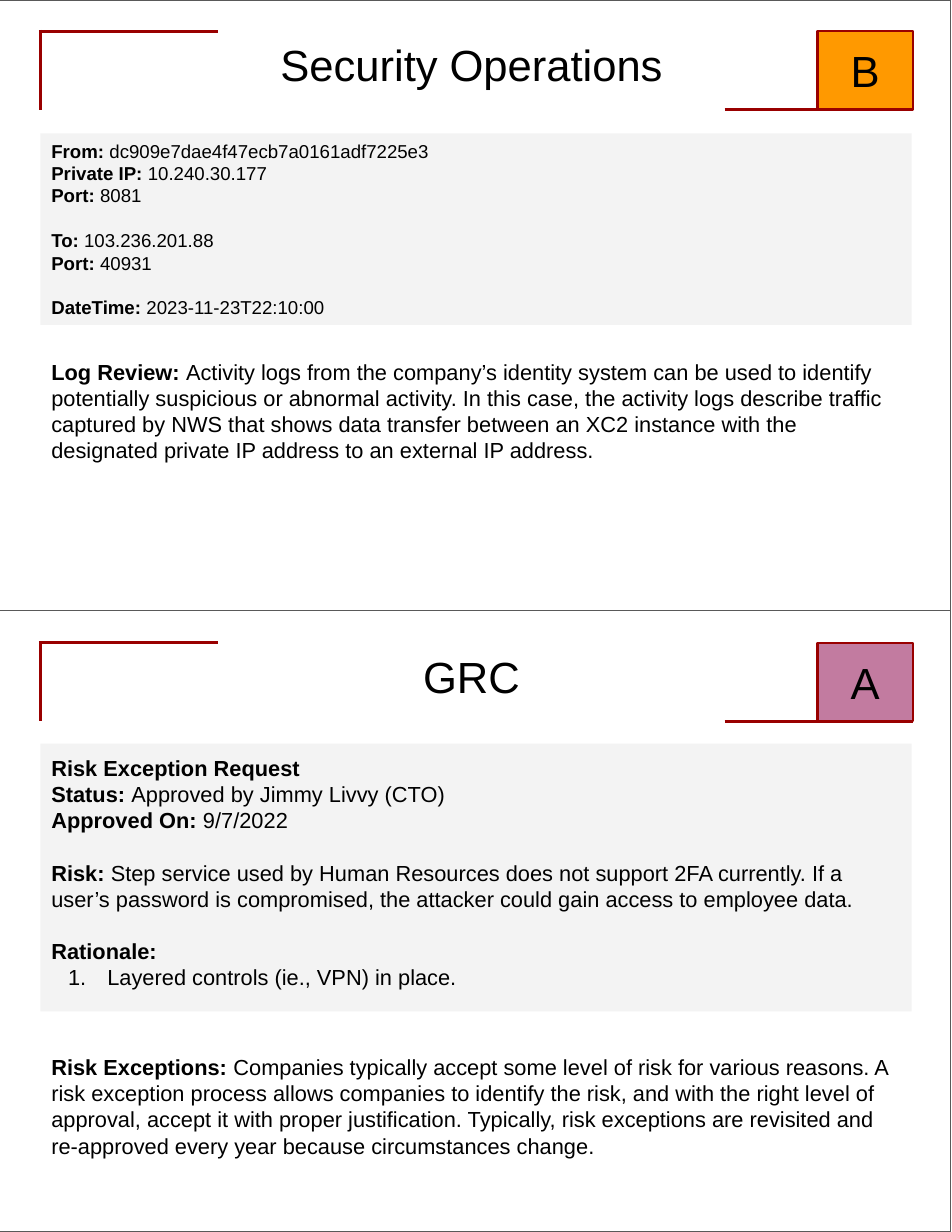
from dataclasses import dataclass

from lxml.etree import SubElement
from pptx import Presentation
from pptx.dml.color import RGBColor
from pptx.enum.shapes import MSO_SHAPE
from pptx.enum.text import MSO_ANCHOR, PP_ALIGN
from pptx.oxml.ns import qn
from pptx.util import Inches, Pt


@dataclass(frozen=True)
class Theme:
    font: str = "Arial"
    ink: str = "000000"
    paper: str = "FFFFFF"
    panel: str = "F3F3F3"
    frame: str = "595959"
    accent: str = "990000"
    orange: str = "FF9900"
    mauve: str = "C27BA0"
    title: int = 28
    body: int = 14
    detail: int = 12
    leading: float = 1.2
    left: float = 0.36
    width: float = 7.78
    inset: float = 0.1


def write(para, theme, *spans, size, align=PP_ALIGN.LEFT, before=0, number=False):
    """Fill a paragraph with (text, bold) spans."""
    if number:
        properties = para._p.get_or_add_pPr()
        properties.set("marL", str(Inches(0.5)))
        properties.set("indent", str(Inches(-0.35)))
        SubElement(properties, qn("a:buAutoNum"), type="arabicPeriod")
    para.alignment = align
    if before:
        para.space_before = Pt(before)
    for text, bold in spans:
        span = para.add_run()
        span.text = text
        span.font.name = theme.font
        span.font.size = Pt(size)
        span.font.bold = bold
        span.font.color.rgb = RGBColor.from_string(theme.ink)


class CardPage:
    def __init__(self, deck, theme):
        self.theme = theme
        self.page = deck.slides.add_slide(deck.slide_layouts[6])

    def rectangle(self, left, top, width, height, fill=None, line=None, weight=0.75):
        box = self.page.shapes.add_shape(
            MSO_SHAPE.RECTANGLE, *map(Inches, (left, top, width, height)))
        box.shadow.inherit = False
        if fill:
            box.fill.solid()
            box.fill.fore_color.rgb = RGBColor.from_string(fill)
        else:
            box.fill.background()
        if line:
            box.line.color.rgb = RGBColor.from_string(line)
            box.line.width = Pt(weight)
        else:
            box.line.fill.background()
        return box

    def text_frame(self, box, anchor):
        frame = box.text_frame
        frame.word_wrap = True
        frame.vertical_anchor = anchor
        inset = Inches(self.theme.inset)
        frame.margin_left = frame.margin_right = inset
        frame.margin_top = frame.margin_bottom = inset
        return frame

    def panel(self, top, height, groups, size, fill, anchor=MSO_ANCHOR.TOP):
        """Groups of (label, text) lines, set one line apart."""
        theme = self.theme
        box = self.rectangle(theme.left, top, theme.width, height, fill)
        frame = self.text_frame(box, anchor)
        para = frame.paragraphs[0]
        for group_index, group in enumerate(groups):
            for line_index, (label, text) in enumerate(group):
                first = group_index == line_index == 0
                para = para if first else frame.add_paragraph()
                gap = size * theme.leading if group_index and not line_index else 0
                spans = [span for span in ((label, True), (text, False)) if span[0]]
                write(para, theme, *spans, size=size, before=gap, number=not label)

    def border(self, cell, sides):
        properties = cell._tc.get_or_add_tcPr()
        for side in "LRTB":
            line = SubElement(properties, qn(f"a:ln{side}"), w=str(Pt(2.25)))
            if side in sides:
                fill = SubElement(line, qn("a:solidFill"))
                SubElement(fill, qn("a:srgbClr"), val=self.theme.accent)
            else:
                SubElement(line, qn("a:noFill"))
        cell.fill.background()

    def heading(self, top, title):
        theme = self.theme
        table = self.page.shapes.add_table(
            1, 3, Inches(theme.left), Inches(top), Inches(theme.width), Inches(0.7)).table
        table.first_row = table.horz_banding = False
        for column, width in zip(table.columns, (1.59, 4.52, 1.67)):
            column.width = Inches(width)
        for cell, sides in zip(table.rows[0].cells, ("LT", "", "RB")):
            self.border(cell, sides)
        cell = table.cell(0, 1)
        inset = Inches(theme.inset)
        cell.margin_left = cell.margin_right = inset
        cell.margin_top = cell.margin_bottom = inset
        write(cell.text_frame.paragraphs[0], theme, (title, False),
              size=theme.title, align=PP_ALIGN.CENTER)

    def badge(self, top, letter, fill):
        box = self.rectangle(7.3, top, 0.85, 0.7, fill, self.theme.accent, 1.5)
        frame = self.text_frame(box, MSO_ANCHOR.MIDDLE)
        write(frame.paragraphs[0], self.theme, (letter, False),
              size=self.theme.title, align=PP_ALIGN.CENTER)

    def card(self, top, height, heading_top, title, letter, color):
        self.rectangle(-0.01, top, 8.5, height, line=self.theme.frame)
        self.heading(heading_top, title)
        self.badge(heading_top, letter, color)


LOG_ENTRY = [
    [("From: ", "dc909e7dae4f47ecb7a0161adf7225e3"),
     ("Private IP:", " 10.240.30.177"),
     ("Port:", " 8081")],
    [("To:", " 103.236.201.88"),
     ("Port:", " 40931")],
    [("DateTime: ", "2023-11-23T22:10:00")],
]
LOG_REVIEW = [[(
    "Log Review: ",
    "Activity logs from the company’s identity system can be used to identify "
    "potentially suspicious or abnormal activity. In this case, the activity logs "
    "describe traffic captured by NWS that shows data transfer between an XC2 instance "
    "with the designated private IP address to an external IP address.")]]
RISK_REQUEST = [
    [("Risk Exception Request", ""),
     ("Status: ", "Approved by Jimmy Livvy (CTO)"),
     ("Approved On:", " 9/7/2022")],
    [("Risk:", " Step service used by Human Resources does not support 2FA currently. "
      "If a user’s password is compromised, the attacker could gain access to "
      "employee data.")],
    [("Rationale:", ""),
     ("", "Layered controls (ie., VPN) in place.")],
]
RISK_EXCEPTIONS = [[(
    "Risk Exceptions: ",
    "Companies typically accept some level of risk for various reasons. A risk exception "
    "process allows companies to identify the risk, and with the right level of approval, "
    "accept it with proper justification. Typically, risk exceptions are revisited and "
    "re-approved every year because circumstances change.")]]


def main():
    theme = Theme()
    deck = Presentation()
    deck.slide_width, deck.slide_height = Inches(8.5), Inches(11)
    cards = CardPage(deck, theme)

    # Upper card: security operations
    cards.card(0, 5.45, 0.28, "Security Operations", "B", theme.orange)
    cards.panel(3.1, 1.77, LOG_REVIEW, theme.body, theme.paper)
    cards.panel(1.19, 1.71, LOG_ENTRY, theme.detail, theme.panel, MSO_ANCHOR.MIDDLE)

    # Lower card: governance, risk and compliance
    cards.card(5.45, 5.55, 5.74, "GRC", "A", theme.mauve)
    cards.panel(6.64, 2.39, RISK_REQUEST, theme.body, theme.panel)
    cards.panel(9.31, 1.29, RISK_EXCEPTIONS, theme.body, theme.paper)

    deck.save("out.pptx")


if __name__ == "__main__":
    main()
